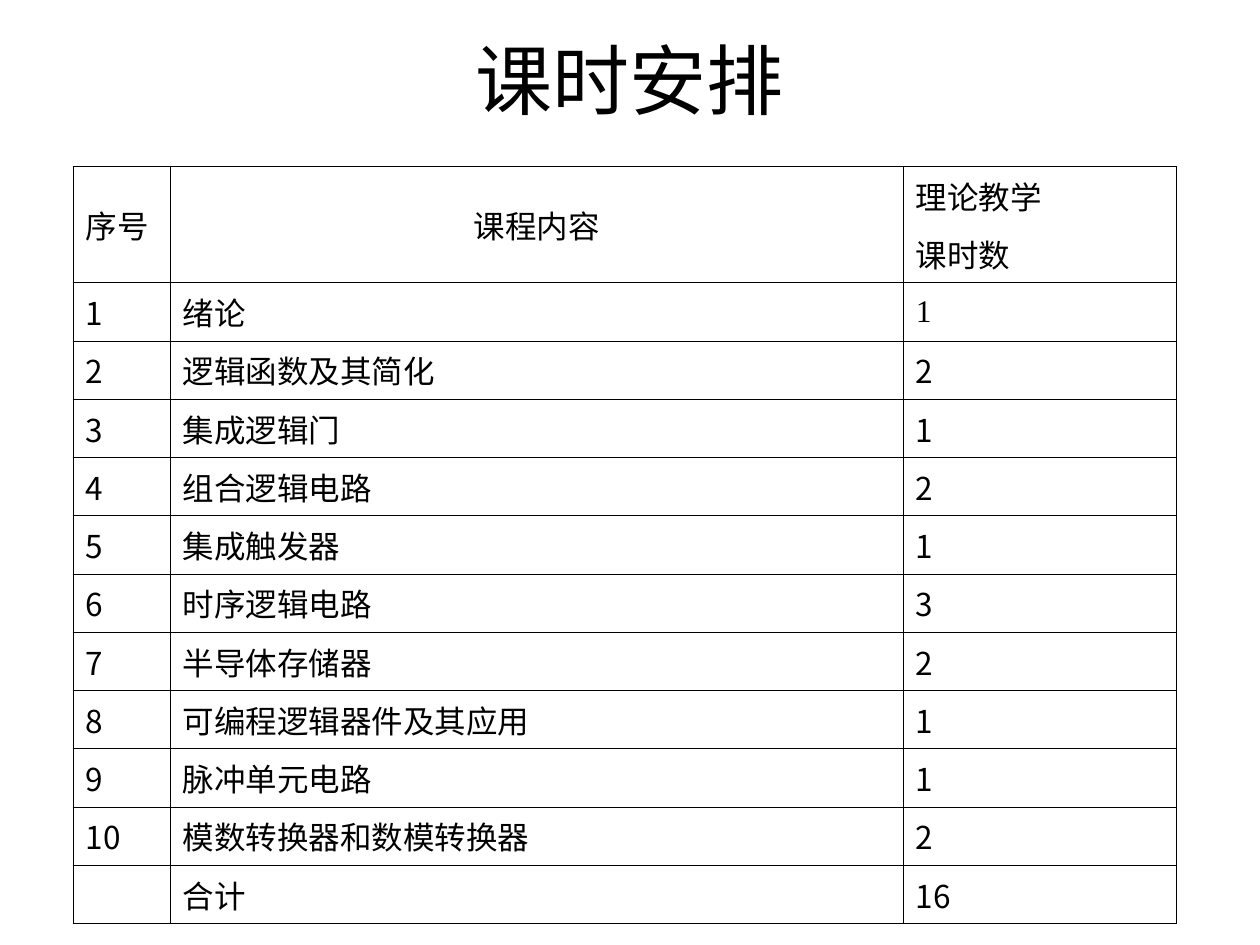
from lxml.etree import SubElement
from pptx import Presentation
from pptx.dml.color import RGBColor
from pptx.enum.lang import MSO_LANGUAGE_ID
from pptx.enum.text import MSO_ANCHOR, PP_ALIGN
from pptx.oxml.ns import qn
from pptx.util import Inches, Pt

BLACK = RGBColor(0, 0, 0)
SANS = "Noto Sans CJK SC"
SERIF = "Times New Roman"
BORDER_WIDTH = Pt(0.45)
COLUMN_WIDTHS = [0.77, 5.82, 2.17]
ROW_HEIGHT = 0.4
HEADER_ROWS = [["序号", "课程内容", "理论教学"], ["", "", "课时数"]]
COURSES = [
    ("绪论", 1),
    ("逻辑函数及其简化", 2),
    ("集成逻辑门", 1),
    ("组合逻辑电路", 2),
    ("集成触发器", 1),
    ("时序逻辑电路", 3),
    ("半导体存储器", 2),
    ("可编程逻辑器件及其应用", 1),
    ("脉冲单元电路", 1),
    ("模数转换器和数模转换器", 2),
]


def format_paragraph(paragraph, font_name, size, alignment):
    paragraph.alignment = alignment
    font = paragraph.font
    font.name = font_name
    font.size = Pt(size)
    font.color.rgb = BLACK
    font.language_id = MSO_LANGUAGE_ID.SIMPLIFIED_CHINESE
    SubElement(font._rPr, qn("a:ea"), typeface=SANS)


def add_title(page, text):
    title = page.shapes.title
    title.left, title.top = Inches(0.5), Inches(0)
    title.width, title.height = Inches(9), Inches(1.25)
    title.text_frame.text = text
    title.text_frame.vertical_anchor = MSO_ANCHOR.MIDDLE
    format_paragraph(title.text_frame.paragraphs[0], "Arial", 44, PP_ALIGN.CENTER)


def set_borders(cell, hidden_side):
    properties = cell._tc.get_or_add_tcPr()
    for side in "LRTB":
        line = SubElement(properties, qn(f"a:ln{side}"), w=str(BORDER_WIDTH))
        if side == hidden_side:
            SubElement(line, qn("a:noFill"))
        else:
            fill = SubElement(line, qn("a:solidFill"))
            SubElement(fill, qn("a:srgbClr"), val=str(BLACK))


def fill_cell(cell, text, font_name, alignment, hidden_side):
    set_borders(cell, hidden_side)
    cell.fill.background()
    cell.vertical_anchor = MSO_ANCHOR.MIDDLE
    cell.text = text
    format_paragraph(cell.text_frame.paragraphs[0], font_name, 18, alignment)


def add_schedule(page, rows):
    frame = page.shapes.add_table(
        len(rows), len(COLUMN_WIDTHS), Inches(0.58), Inches(1.32),
        Inches(sum(COLUMN_WIDTHS)), Inches(ROW_HEIGHT * len(rows)))
    table = frame.table
    table.first_row = table.horz_banding = False
    for column, width in zip(table.columns, COLUMN_WIDTHS):
        column.width = Inches(width)
    first_course = len(HEADER_ROWS)
    for row_index, values in enumerate(rows):
        table.rows[row_index].height = Inches(ROW_HEIGHT)
        for column_index, text in enumerate(values):
            is_header = row_index < first_course
            is_content = column_index == 1
            is_first_hours = row_index == first_course and column_index == 2
            serif = is_first_hours or (is_content and not is_header)
            centered = is_content and is_header
            hidden_side = "BT"[row_index] if is_header and column_index == 2 else None
            fill_cell(table.cell(row_index, column_index), text,
                      SERIF if serif else SANS,
                      PP_ALIGN.CENTER if centered else PP_ALIGN.LEFT,
                      hidden_side)
    for column_index in (0, 1):
        table.cell(0, column_index).merge(table.cell(1, column_index))


def main():
    deck = Presentation()
    deck.slide_width, deck.slide_height = Inches(10), Inches(7.5)
    page = deck.slides.add_slide(deck.slide_layouts[5])
    add_title(page, "课时安排")
    course_rows = [[str(number), name, str(hours)]
                   for number, (name, hours) in enumerate(COURSES, 1)]
    total = sum(hours for _, hours in COURSES)
    add_schedule(page, HEADER_ROWS + course_rows + [["", "合计", str(total)]])
    deck.save("out.pptx")


if __name__ == "__main__":
    main()
